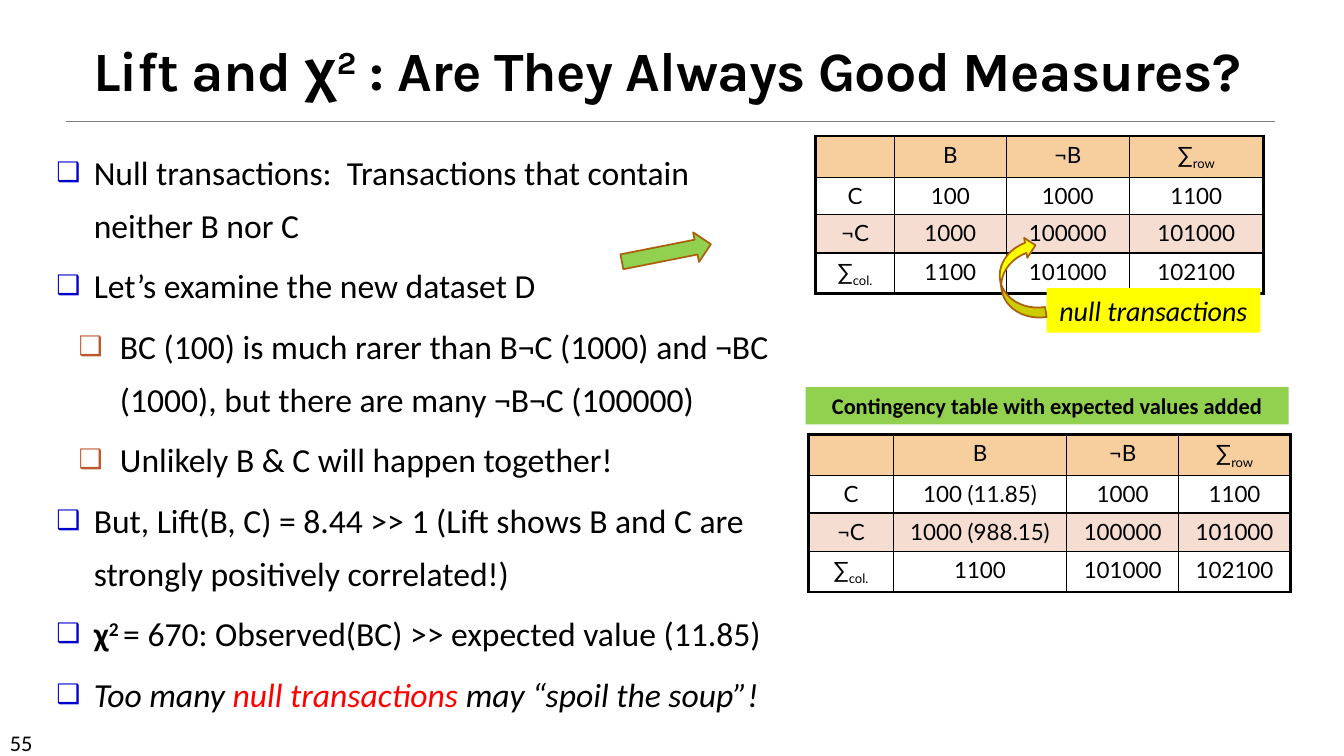
from dataclasses import dataclass

from lxml.etree import SubElement
from pptx import Presentation
from pptx.dml.color import RGBColor
from pptx.enum.shapes import MSO_CONNECTOR, MSO_SHAPE
from pptx.enum.text import MSO_ANCHOR, MSO_AUTO_SIZE, PP_ALIGN
from pptx.oxml.ns import qn
from pptx.util import Inches, Pt


@dataclass(frozen=True)
class Theme:
    black: str = "000000"
    gray: str = "808080"
    red: str = "FF0000"
    blue: str = "0000CC"
    rust: str = "BD582C"
    brown: str = "A9610D"
    yellow: str = "FFFF00"
    green: str = "92D050"
    header: str = "F7CE9D"
    accent: str = "F5DDD2"
    title_font: str = "Karla"
    greek_font: str = "Noto Sans CJK TC"
    body_font: str = "Calibri"
    table_font: str = "Lato"
    title_size: float = 39.6
    body_size: int = 24
    label_size: int = 20
    small_size: int = 16


T = Theme()

TITLE = [
    ("Lift and ", {}),
    ("χ", {"font": T.greek_font}),
    ("2", {"base": 30}),
    (" : Are They Always Good Measures?", {}),
]
BULLETS = [
    (0, [("Null transactions:  Transactions that contain neither B nor C", {})]),
    (0, [("Let’s examine the new dataset D", {})]),
    (1, [("BC (100) is much rarer than B¬C (1000) and ¬BC (1000), "
          "but there are many ¬B¬C (100000)", {})]),
    (1, [("Unlikely B & C will happen together!", {})]),
    (0, [("But, Lift(B, C) = 8.44 >> 1 (Lift shows B and C are "
          "strongly positively correlated!)", {})]),
    (0, [("χ", {"bold": True}), ("2 ", {"bold": True, "base": 30}),
         ("= 670: Observed(BC) >> expected value (11.85)", {})]),
    (0, [("Too many ", {"italic": True}),
         ("null transactions ", {"italic": True, "color": T.red}),
         ("may “spoil the soup”!", {"italic": True})]),
]
LEVELS = [(0.37, -0.37, T.blue), (0.63, -0.41, T.rust)]

HEAD = ["", "B", "¬B", "∑_row"]
TOTALS = ["∑_col.", "1100", "101000", "102100"]
TABLES = [
    (8.09, 1.35, [0.78, 1.11, 1.22, 1.33],
     [HEAD, ["C", "100", "1000", "1100"],
      ["¬C", "1000", "100000", "101000"], TOTALS]),
    (8.02, 4.31, [0.84, 1.72, 1.11, 1.11],
     [HEAD, ["C", "100 (11.85)", "1000", "1100"],
      ["¬C", "1000 (988.15)", "100000", "101000"], TOTALS]),
]
ROW_HEIGHTS = [0.41, 0.37, 0.38, 0.4]
ROW_FILLS = [T.header, None, T.accent, None]

LABELS = [
    ("null transactions", (10.38, 2.86, 2.12, 0.44), T.yellow, T.label_size,
     {"italic": True}),
    ("Contingency table with expected values added", (7.99, 3.84, 4.79, 0.37),
     T.green, T.small_size, {"bold": True}),
]
ARROWS = [
    (MSO_SHAPE.CURVED_LEFT_ARROW, (9.92, 2.36, 0.4, 0.82), 171.2, T.yellow),
    (MSO_SHAPE.RIGHT_ARROW, (6.16, 2.36, 0.9, 0.3), 348.8, T.green),
]


def rgb(color):
    return RGBColor.from_string(color)


def box(values):
    return [Inches(v) for v in values]


def place(sp, values):
    sp.left, sp.top, sp.width, sp.height = box(values)


def add_run(p, text, size, font=T.body_font, color=T.black, bold=False,
            italic=False, base=0, spacing=0):
    r = p.add_run()
    r.text = text
    r.font.name, r.font.size = font, Pt(size)
    r.font.bold, r.font.italic = bold, italic
    r.font.color.rgb = rgb(color)
    rPr = r._r.get_or_add_rPr()
    if base:
        rPr.set("baseline", str(base * 1000))
    if spacing:
        rPr.set("spc", str(int(spacing * 100)))


def add_bullet(p, level):
    indent, hanging, color = LEVELS[level]
    p.level = level
    pPr = p._p.get_or_add_pPr()
    pPr.set("marL", str(Inches(indent)))
    pPr.set("indent", str(Inches(hanging)))
    SubElement(SubElement(pPr, qn("a:buClr")), qn("a:srgbClr"), val=color)
    SubElement(pPr, qn("a:buSzPct"), val="80000")
    SubElement(pPr, qn("a:buChar"), char="❑")


def add_border(cell, side, width):
    ln = SubElement(cell._tc.get_or_add_tcPr(), qn(f"a:ln{side}"), w=str(Pt(width)))
    SubElement(SubElement(ln, qn("a:solidFill")), qn("a:srgbClr"), val=T.black)


def add_counts(s, left, top, widths, rows):
    frame = s.shapes.add_table(len(rows), len(widths), *box(
        (left, top, sum(widths), sum(ROW_HEIGHTS))))
    table = frame.table
    table.first_row = table.horz_banding = False
    for col, width in zip(table.columns, widths):
        col.width = Inches(width)
    for i, row in enumerate(rows):
        table.rows[i].height = Inches(ROW_HEIGHTS[i])
        for j, text in enumerate(row):
            cell = table.cell(i, j)
            cell.margin_left = cell.margin_right = Inches(0.13)
            outer = {"L": j == 0, "R": j == len(widths) - 1,
                     "T": i == 0, "B": i == len(rows) - 1}
            for side, thick in outer.items():
                add_border(cell, side, 2.25 if thick else 1)
            if ROW_FILLS[i]:
                cell.fill.solid()
                cell.fill.fore_color.rgb = rgb(ROW_FILLS[i])
            else:
                cell.fill.background()
            p = cell.text_frame.paragraphs[0]
            p.alignment = PP_ALIGN.CENTER
            for part, base in zip(text.split("_"), (0, -25)):
                if part:
                    add_run(p, part, T.small_size, T.table_font, base=base)


def add_filled(s, kind, at, color):
    sp = s.shapes.add_shape(kind, *box(at))
    sp.shadow.inherit = False
    sp.fill.solid()
    sp.fill.fore_color.rgb = rgb(color)
    return sp


def main():
    prs = Presentation()
    prs.slide_width, prs.slide_height = Inches(13.33), Inches(7.5)
    s = prs.slides.add_slide(prs.slide_layouts[1])
    title, body = s.placeholders

    rule = s.shapes.add_connector(MSO_CONNECTOR.STRAIGHT, *box((0.65, 1.2, 12.65, 1.2)))
    rule.line.color.rgb, rule.line.width = rgb(T.gray), Pt(0.5)
    SubElement(rule._element.spPr, qn("a:effectLst"))

    number = s.shapes.add_textbox(*box((0, 7.18, 1.17, 0.3)))
    number.text_frame.word_wrap = True
    add_run(number.text_frame.paragraphs[0], "55", T.small_size)

    place(title, (0.56, 0.34, 12.11, 0.73))
    tf = title.text_frame
    tf.auto_size, tf.vertical_anchor = MSO_AUTO_SIZE.NONE, MSO_ANCHOR.BOTTOM
    p = tf.paragraphs[0]
    p.alignment, p.line_spacing = PP_ALIGN.CENTER, 0.85
    for text, style in TITLE:
        add_run(p, text, T.title_size, **{
            "font": T.title_font, "bold": True, "spacing": -0.5, **style})

    place(body, (0.46, 1.34, 7.51, 5.81))
    tf = body.text_frame
    tf.auto_size = MSO_AUTO_SIZE.NONE
    for i, (level, runs) in enumerate(BULLETS):
        p = tf.add_paragraph() if i else tf.paragraphs[0]
        p.line_spacing, p.space_before = 1.3, Pt(6 if i else 0)
        add_bullet(p, level)
        for text, style in runs:
            add_run(p, text, T.body_size, **style)

    for counts in TABLES:
        add_counts(s, *counts)

    for text, at, color, size, style in LABELS:
        sp = add_filled(s, MSO_SHAPE.RECTANGLE, at, color)
        sp.line.fill.background()
        sp.text_frame.word_wrap = True
        p = sp.text_frame.paragraphs[0]
        p.alignment = PP_ALIGN.CENTER
        add_run(p, text, size, **style)

    for kind, at, angle, color in ARROWS:
        sp = add_filled(s, kind, at, color)
        sp.line.color.rgb, sp.line.width = rgb(T.brown), Pt(1.25)
        sp.rotation = angle

    prs.save("out.pptx")


if __name__ == "__main__":
    main()
